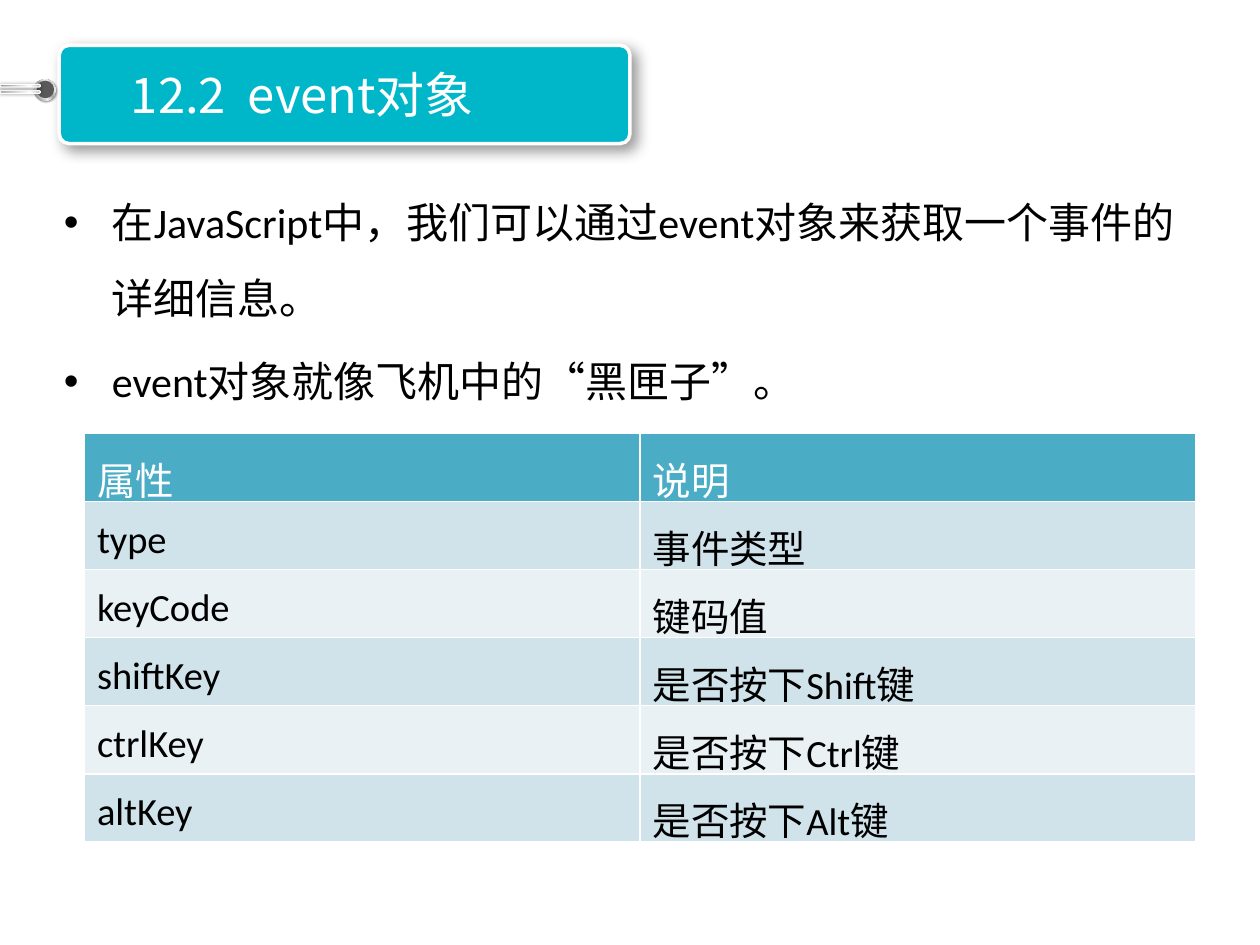
import pptx
import pptx.dml.color
import pptx.enum.shapes
import pptx.enum.text
import pptx.oxml.ns
import pptx.util
from lxml import etree

Inches = pptx.util.Inches
Pt = pptx.util.Pt
RGBColor = pptx.dml.color.RGBColor
qn = pptx.oxml.ns.qn
SHAPES = pptx.enum.shapes.MSO_SHAPE

WHITE = RGBColor(0xFF, 0xFF, 0xFF)
BLACK = RGBColor(0x00, 0x00, 0x00)
TURQUOISE = RGBColor(0x00, 0xB7, 0xCA)
HOLE_GRAY = RGBColor(0x59, 0x59, 0x59)
HEADER_BLUE = RGBColor(0x4B, 0xAC, 0xC6)
BAND_DARK = RGBColor(0xD0, 0xE3, 0xEA)
BAND_LIGHT = RGBColor(0xE9, 0xF1, 0xF5)

LATIN_FONT = "Calibri"
CHINESE_FONT = "Noto Sans CJK SC"
RING_STOPS = [(0, "FFFFFF"), (17, "A6A6A6"), (35, "F2F2F2"),
              (55, "A6A6A6"), (75, "F2F2F2"), (100, "A6A6A6")]
WIRE_STOPS = [(0, "808080"), (23, "A6A6A6"), (52, "D9D9D9"),
              (74, "FFFFFF"), (100, "A6A6A6")]

TITLE = "12.2  event对象"
BULLETS = ["在JavaScript中，我们可以通过event对象来获取一个事件的详细信息。",
           "event对象就像飞机中的“黑匣子”。"]
PROPERTIES = [("属性", "说明"), ("type", "事件类型"), ("keyCode", "键码值"),
              ("shiftKey", "是否按下Shift键"), ("ctrlKey", "是否按下Ctrl键"),
              ("altKey", "是否按下Alt键")]


def add_element(parent, tag, **attributes):
    """Append a DrawingML element with the given attributes."""
    values = {name: str(value) for name, value in attributes.items()}
    return etree.SubElement(parent, qn(tag), values)


def set_gradient(shape, stops, angle):
    """Fill a shape with a linear gradient of (percent, colour) stops."""
    shape.fill.gradient()
    shape.fill.gradient_angle = 0
    gradient = shape._element.spPr.find(qn("a:gradFill"))
    gradient.find(qn("a:lin")).set("ang", str(angle * 60000))
    stop_list = gradient.find(qn("a:gsLst"))
    for stop in list(stop_list):
        stop_list.remove(stop)
    for percent, color in stops:
        stop = add_element(stop_list, "a:gs", pos=percent * 1000)
        add_element(stop, "a:srgbClr", val=color)


def set_shadow(shape, blur, distance, angle):
    """Give a shape a black shadow of 40 percent opacity."""
    effects = shape._element.spPr.find(qn("a:effectLst"))
    shadow = add_element(effects, "a:outerShdw", blurRad=Pt(blur), dist=Pt(distance),
                         dir=angle * 60000, algn="ctr", rotWithShape=0)
    color = add_element(shadow, "a:srgbClr", val="000000")
    add_element(color, "a:alpha", val=40000)


def add_plain_shape(slide, kind, left, top, width, height, line_width=0):
    """Add a preset shape with no shadow and a white line or none."""
    shape = slide.shapes.add_shape(kind, Inches(left), Inches(top),
                                   Inches(width), Inches(height))
    shape.shadow.inherit = False
    if line_width:
        shape.line.color.rgb = WHITE
        shape.line.width = Pt(line_width)
    else:
        shape.line.fill.background()
    return shape


def style_paragraph(paragraph, size, color, latin=LATIN_FONT):
    """Set the fonts, size and colour of a paragraph."""
    font = paragraph.font
    font.size = Pt(size)
    font.color.rgb = color
    font.name = latin
    font._element.find(qn("a:latin")).addnext(
        font._element.makeelement(qn("a:ea"), {"typeface": CHINESE_FONT}))


def add_pin(slide, left, top):
    """Draw the ring and the two wires that hold the title plate."""
    ring = add_plain_shape(slide, SHAPES.OVAL, left + 0.27, top + 0.06, 0.17, 0.17)
    set_gradient(ring, RING_STOPS, 45)
    set_shadow(ring, 1, 1, 45)
    hole = add_plain_shape(slide, SHAPES.OVAL, left + 0.29, top + 0.07, 0.14, 0.14)
    hole.fill.solid()
    hole.fill.fore_color.rgb = HOLE_GRAY
    ring.rotation = hole.rotation = 270
    for offset in (0, -0.05):
        wire = add_plain_shape(slide, SHAPES.ROUNDED_RECTANGLE,
                               left + 0.15, top + offset, 0.02, 0.32, 0.75)
        wire.adjustments[0] = 0.5
        wire.rotation = 270
        set_gradient(wire, WIRE_STOPS, 90)
        set_shadow(wire, 2, 0, 0)


def add_title(slide, left, top, width, height):
    """Draw the title plate, its pin and the title text."""
    plate = add_plain_shape(slide, SHAPES.ROUNDED_RECTANGLE, left, top, width, height, 2)
    plate.adjustments[0] = 0.1
    plate.fill.solid()
    plate.fill.fore_color.rgb = TURQUOISE
    set_shadow(plate, 8, 4, 45)
    add_pin(slide, left - 0.47, top + 0.21)
    box = slide.shapes.add_textbox(Inches(left - 0.2), Inches(top + 0.1),
                                   Inches(width - 0.27), Inches(0.57))
    box.text_frame.word_wrap = True
    paragraph = box.text_frame.paragraphs[0]
    paragraph.text = TITLE
    paragraph.alignment = pptx.enum.text.PP_ALIGN.CENTER
    style_paragraph(paragraph, 28, WHITE, CHINESE_FONT)


def add_bullets(slide, left, top, width, height):
    """Write the bulleted introduction."""
    box = slide.shapes.add_textbox(Inches(left), Inches(top), Inches(width), Inches(height))
    frame = box.text_frame
    frame.word_wrap = True
    for index, text in enumerate(BULLETS):
        paragraph = frame.add_paragraph() if index else frame.paragraphs[0]
        paragraph.text = text
        paragraph.line_spacing = 1.5
        paragraph.space_before = Pt(4.8)
        properties = paragraph._p.get_or_add_pPr()
        properties.set("marL", str(Inches(0.38)))
        properties.set("indent", str(Inches(-0.38)))
        add_element(properties, "a:buFont", typeface="Arial")
        add_element(properties, "a:buChar", char="•")
        style_paragraph(paragraph, 24, BLACK)


def style_cell(cell, fill_color, text_color):
    """Give a cell white borders, a fill and its text style."""
    properties = cell._tc.get_or_add_tcPr()
    for side in ("a:lnL", "a:lnR", "a:lnT", "a:lnB"):
        line = add_element(properties, side, w=Pt(1))
        add_element(add_element(line, "a:solidFill"), "a:srgbClr", val=WHITE)
    cell.fill.solid()
    cell.fill.fore_color.rgb = fill_color
    paragraph = cell.text_frame.paragraphs[0]
    paragraph.line_spacing = 1.2
    style_paragraph(paragraph, 22, text_color)


def add_property_table(slide, left, top, width, height):
    """Add the table of event properties."""
    table = slide.shapes.add_table(len(PROPERTIES), 2, Inches(left), Inches(top),
                                   Inches(width), Inches(height)).table
    for row, texts in enumerate(PROPERTIES):
        band = BAND_DARK if row % 2 else BAND_LIGHT
        for column, text in enumerate(texts):
            cell = table.cell(row, column)
            cell.text = text
            style_cell(cell, band if row else HEADER_BLUE, BLACK if row else WHITE)


def main():
    """Build the slide and save it."""
    presentation = pptx.Presentation()
    presentation.slide_width = Inches(10)
    presentation.slide_height = Inches(7.5)
    slide = presentation.slides.add_slide(presentation.slide_layouts[6])
    add_title(slide, 0.47, 0.36, 4.53, 0.78)
    add_bullets(slide, 0.41, 1.31, 9.2, 2.2)
    add_property_table(slide, 0.67, 3.44, 8.82, 3.24)
    presentation.save("out.pptx")


main()
